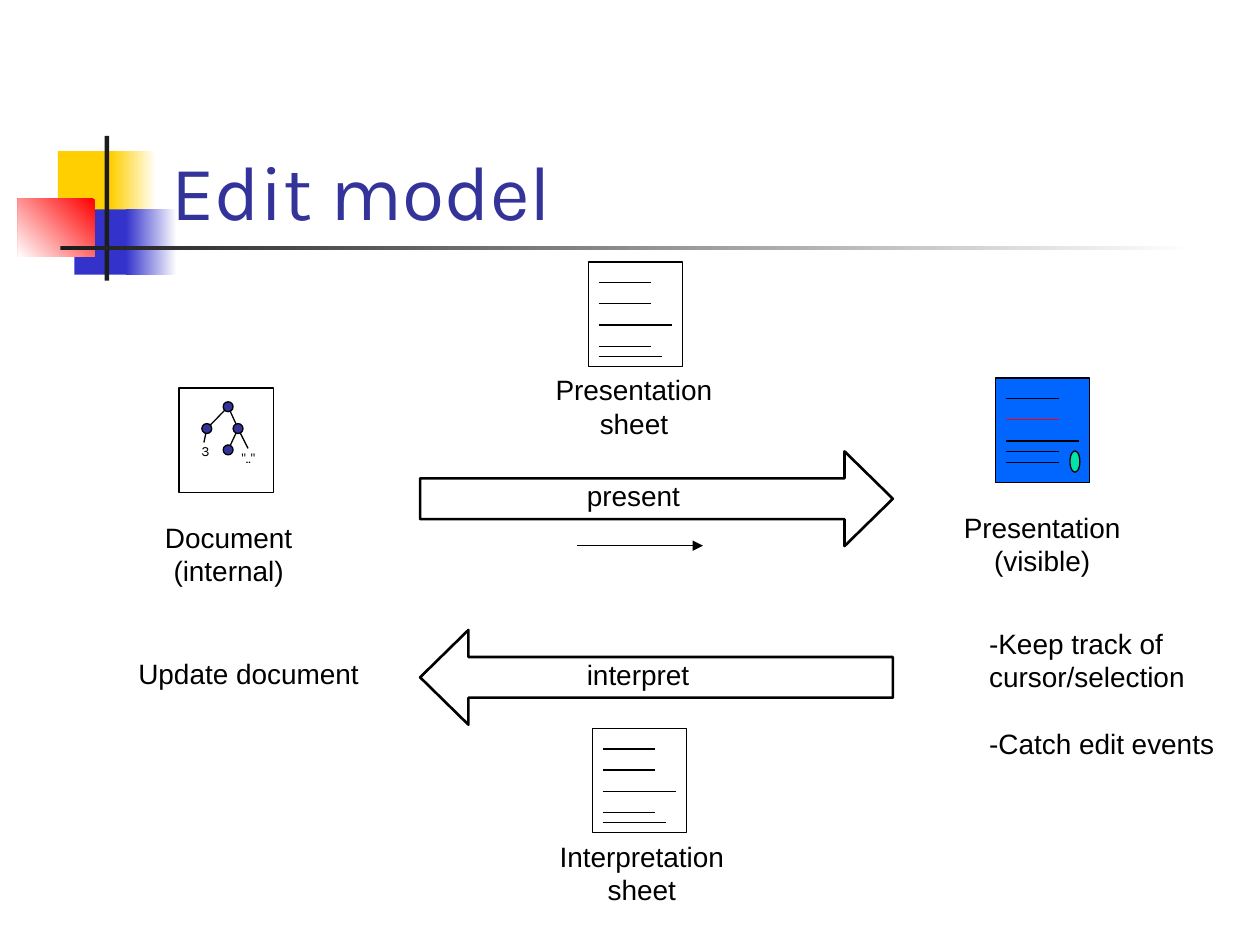
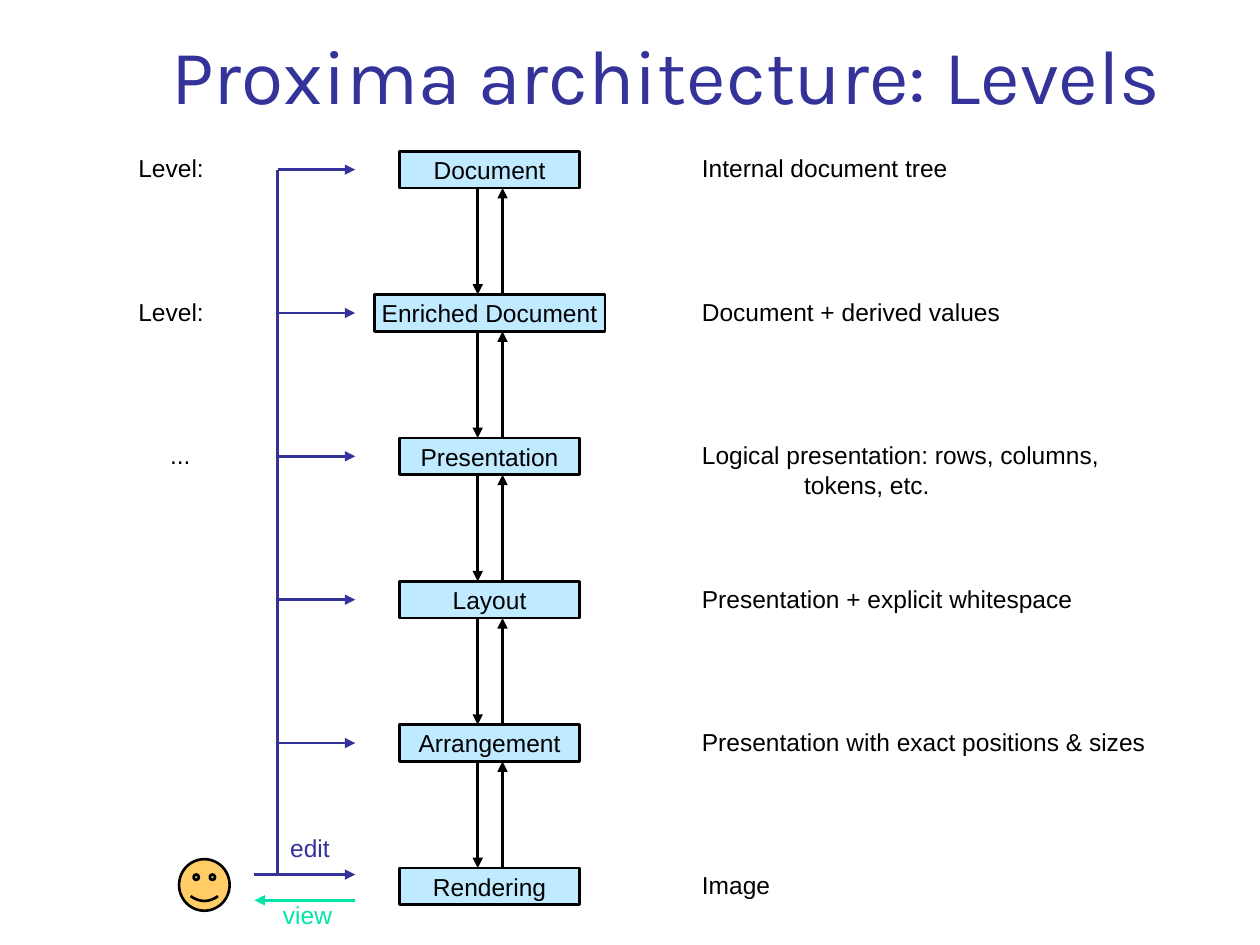
from lxml import etree
from pptx import Presentation
from pptx.dml.color import RGBColor
from pptx.enum.shapes import MSO_CONNECTOR, MSO_SHAPE as SHAPE
from pptx.enum.text import MSO_ANCHOR as ANCHOR, MSO_AUTO_SIZE, PP_ALIGN as ALIGN
from pptx.oxml.ns import qn
from pptx.util import Cm, Pt

BLACK = RGBColor(0x00, 0x00, 0x00)
WHITE = RGBColor(0xFF, 0xFF, 0xFF)
INDIGO = RGBColor(0x33, 0x33, 0x99)
GREEN = RGBColor(0x00, 0xE4, 0xA8)
RED = RGBColor(0xFF, 0x00, 0x00)
YELLOW = RGBColor(0xFF, 0xCF, 0x01)
BLUE = RGBColor(0x33, 0x33, 0xCC)
CHARCOAL = RGBColor(0x1C, 0x1C, 0x1C)
SCREEN_BLUE = RGBColor(0x00, 0x66, 0xFF)
LEVEL_BLUE = RGBColor(0xBF, 0xEA, 0xFF)
SKIN = RGBColor(0xFF, 0xCC, 0x66)
BODY_FONT, TITLE_FONT = "Arial", "Karla"
THIN, THICK = 0.75, 1.5

# (left, top, width, height), colour, fade angle
MOTIF = [
    ((1.17, 3.05, 1.22, 1.32), YELLOW, None),
    ((2.24, 3.05, 0.91, 1.32), YELLOW, 0),
    ((1.5, 4.22, 1.17, 1.32), BLUE, None),
    ((2.54, 4.22, 1.02, 1.32), BLUE, 0),
    ((0.36, 4.01, 1.55, 1.17), RED, 225),
    ((2.11, 2.74, 0.09, 2.92), CHARCOAL, None),
    ((1.22, 4.95, 22.86, 0.09), CHARCOAL, 0),
]

PAGE_SIZE = (1.9, 2.11)
SHEET_LINES = [(0.42, 1.06), (0.84, 1.06), (1.27, 1.48), (1.7, 1.06), (1.9, 1.27)]
SCREEN_LINES = [(0.42, 1.06), (0.84, 1.06), (1.27, 1.48), (1.48, 1.06), (1.7, 1.06)]
PAGES = [
    ((3.61, 7.82), WHITE, []),
    ((11.86, 5.28), WHITE, SHEET_LINES),
    ((11.94, 14.68), WHITE, SHEET_LINES),
    ((20.07, 7.62), SCREEN_BLUE, SCREEN_LINES),
]
CURSOR_LINE = 1

PAGE_LABELS = [
    (["Document", "(internal)"], (2.6, 10.36, 4.02)),
    (["Presentation", "sheet"], (10.77, 7.39, 4.02)),
    (["Interpretation", "sheet"], (10.93, 16.79, 4.02)),
    (["Presentation", "(visible)"], (19, 10.16, 4.02)),
]
STEPS = [("present", SHAPE.RIGHT_ARROW, 9.1), ("interpret", SHAPE.LEFT_ARROW, 12.7)]
EDITOR_TASKS = ["-Keep track of cursor/selection", "-Catch edit events"]

NODES = {"root": (4.6, 8.2), "left": (4.17, 8.64), "right": (4.8, 8.64), "inner": (4.6, 9.07)}
LEAF_ENDS = {"number": (4.11, 8.92), "string": (5, 9.04)}
BRANCHES = [("root", "left"), ("root", "right"), ("right", "inner"),
            ("left", "number"), ("right", "string")]
LEAVES = [("3", (3.81, 8.79, 0.9)), ('".."', (4.62, 8.94, 1.2))]

LEVELS = [
    ("Document", "Internal document tree"),
    ("Enriched Document", "Document + derived values"),
    ("Presentation", "Logical presentation: rows, columns, tokens, etc."),
    ("Layout", "Presentation + explicit whitespace"),
    ("Arrangement", "Presentation with exact positions & sizes"),
    ("Rendering", "Image"),
]
LEVEL_MARKS = [("Level:", 2.54), ("Level:", 2.54), ("...", 3.18)]
FIRST_LEVEL, LEVEL_STEP, LEVEL_HEIGHT = 3.05, 2.89, 0.74
LEVEL_CENTRE, LEVEL_WIDTH, WIDE_LEVEL = 9.87, 3.63, 4.65
DOWN_X, UP_X = 9.63, 10.13
EDIT_X, EDIT_END, EDIT_Y = 5.6, 7.16, 17.63
USER_X, VIEW_Y = 5.13, 18.15


def add_text(frame, lines, size, color=BLACK, font=BODY_FONT, align=ALIGN.LEFT, gap=0):
    frame.word_wrap = True
    for index, line in enumerate(lines):
        paragraph = frame.add_paragraph() if index else frame.paragraphs[0]
        paragraph.alignment = align
        if index and gap:
            paragraph.space_before = Pt(gap)
        run = paragraph.add_run()
        run.text = line
        run.font.size, run.font.name = Pt(size), font
        run.font.color.rgb = color


def add_label(slide, lines, place, size, **style):
    left, top, width = place
    height = len(lines) * size * 0.042 + 0.25
    box = slide.shapes.add_textbox(Cm(left), Cm(top), Cm(width), Cm(height))
    add_text(box.text_frame, lines, size, **style)
    return box


def add_block(slide, kind, place, fill=None, line=None, fade=None):
    block = slide.shapes.add_shape(kind, *(Cm(value) for value in place))
    block.shadow.inherit = False
    if fill is None:
        block.fill.background()
    elif fade is None:
        block.fill.solid()
        block.fill.fore_color.rgb = fill
    else:
        block.fill.gradient()
        block.fill.gradient_angle = fade
        for stop, color in zip(block.fill.gradient_stops, (fill, WHITE)):
            stop.color.rgb = color
    if line is None:
        block.line.fill.background()
    else:
        block.line.color.rgb = BLACK
        block.line.width = Pt(line)
    return block


def add_line(slide, start, end, color=BLACK, width=THIN, arrow=False):
    line = slide.shapes.add_connector(
        MSO_CONNECTOR.STRAIGHT, *(Cm(value) for value in (*start, *end)))
    line.line.color.rgb = color
    line.line.width = Pt(width)
    if arrow:
        etree.SubElement(line.line._get_or_add_ln(), qn("a:tailEnd"), type="triangle")
    etree.SubElement(line._element.spPr, qn("a:effectLst"))


def add_titled_slide(prs, title, top):
    slide = prs.slides.add_slide(prs.slide_layouts[5])
    heading = slide.shapes.title
    heading.left, heading.top = Cm(3.2), Cm(top)
    heading.width, heading.height = Cm(21.64), Cm(3.18)
    frame = heading.text_frame
    frame.auto_size = MSO_AUTO_SIZE.NONE
    frame.vertical_anchor = ANCHOR.BOTTOM
    add_text(frame, [title], 44, color=INDIGO, font=TITLE_FONT)
    return slide


def add_page(slide, corner, fill, lines):
    left, top = corner
    add_block(slide, SHAPE.RECTANGLE, (*corner, *PAGE_SIZE), fill, THIN)
    for index, (drop, length) in enumerate(lines):
        at_cursor = fill == SCREEN_BLUE and index == CURSOR_LINE
        start = (left + 0.21, top + drop)
        add_line(slide, start, (start[0] + length, start[1]), RED if at_cursor else BLACK)
    if fill == SCREEN_BLUE:
        add_block(slide, SHAPE.OVAL, (left + 1.5, top + 1.47, 0.2, 0.43), GREEN, THIN)


def add_tree(slide):
    points = {**NODES, **LEAF_ENDS}
    for parent, child in BRANCHES:
        add_line(slide, points[parent], points[child])
    for x, y in NODES.values():
        add_block(slide, SHAPE.OVAL, (x - 0.1, y - 0.1, 0.2, 0.2), INDIGO, THIN)
    for leaf, place in LEAVES:
        add_label(slide, [leaf], place, 8, font=TITLE_FONT)


def build_edit_model(prs):
    slide = add_titled_slide(prs, "Edit model", 1.7)
    for place, color, fade in MOTIF:
        add_block(slide, SHAPE.RECTANGLE, place, color, fade=fade)
    for page in PAGES:
        add_page(slide, *page)
    add_tree(slide)
    for lines, place in PAGE_LABELS:
        add_label(slide, lines, place, 16, align=ALIGN.CENTER)
    for step, kind, top in STEPS:
        arrow = add_block(slide, kind, (8.47, top, 9.53, 1.91), line=THICK)
        arrow.adjustments[0], arrow.adjustments[1] = 0.43, 0.51
        add_label(slide, [step], (11.58, top + 0.43, 3), 16)
    add_line(slide, (11.64, 11), (14.17, 11), arrow=True)
    add_label(slide, ["Update document"], (2.54, 13.11, 5.5), 16)
    add_label(slide, EDITOR_TASKS, (19.69, 12.5, 5.2), 16, gap=19)


def build_levels(prs):
    slide = add_titled_slide(prs, "Proxima architecture: Levels", -0.64)
    tops = [FIRST_LEVEL + LEVEL_STEP * index for index in range(len(LEVELS))]
    for top, next_top in zip(tops, tops[1:]):
        bottom = top + LEVEL_HEIGHT
        add_line(slide, (DOWN_X, bottom), (DOWN_X, next_top), width=THICK, arrow=True)
        add_line(slide, (UP_X, next_top), (UP_X, bottom), width=THICK, arrow=True)
        edit_y = top + LEVEL_HEIGHT / 2
        add_line(slide, (EDIT_X, edit_y), (EDIT_END, edit_y), INDIGO, THICK, True)
    for top, (level, meaning) in zip(tops, LEVELS):
        width = WIDE_LEVEL if level == "Enriched Document" else LEVEL_WIDTH
        place = (LEVEL_CENTRE - width / 2, top, width, LEVEL_HEIGHT)
        frame = add_block(slide, SHAPE.RECTANGLE, place, LEVEL_BLUE, THICK).text_frame
        frame.margin_left = frame.margin_right = Cm(0.13)
        frame.margin_top = frame.margin_bottom = Cm(0.05)
        frame.vertical_anchor = ANCHOR.MIDDLE
        add_text(frame, [level], 14, align=ALIGN.CENTER)
        note = add_label(slide, [meaning], (13.9, top - 0.08, 9.6 if level == "Presentation" else 10), 14)
        if level == "Presentation":
            hanging = note.text_frame.paragraphs[0]._p.get_or_add_pPr()
            hanging.set("marL", str(Cm(2.06)))
            hanging.set("indent", str(-Cm(2.06)))
    for top, (mark, left) in zip(tops, LEVEL_MARKS):
        add_label(slide, [mark], (left, top - 0.08, 2.2), 14)

    add_line(slide, (EDIT_X, tops[0] + LEVEL_HEIGHT / 2), (EDIT_X, EDIT_Y), INDIGO, THICK)
    add_line(slide, (USER_X, EDIT_Y), (EDIT_END, EDIT_Y), INDIGO, THICK, True)
    add_line(slide, (EDIT_END, VIEW_Y), (USER_X, VIEW_Y), GREEN, THICK, True)
    add_block(slide, SHAPE.SMILEY_FACE, (3.61, 17.32, 1.02, 1.04), SKIN, THICK)
    add_label(slide, ["edit"], (5.08, 16.66, 2.34), 14, color=INDIGO, align=ALIGN.CENTER)
    add_label(slide, ["view"], (5.03, 18.01, 2.34), 14, color=GREEN, align=ALIGN.CENTER)


def main():
    prs = Presentation()
    prs.slide_width, prs.slide_height = Cm(25.4), Cm(19.05)
    build_edit_model(prs)
    build_levels(prs)
    prs.save("out.pptx")


if __name__ == "__main__":
    main()
